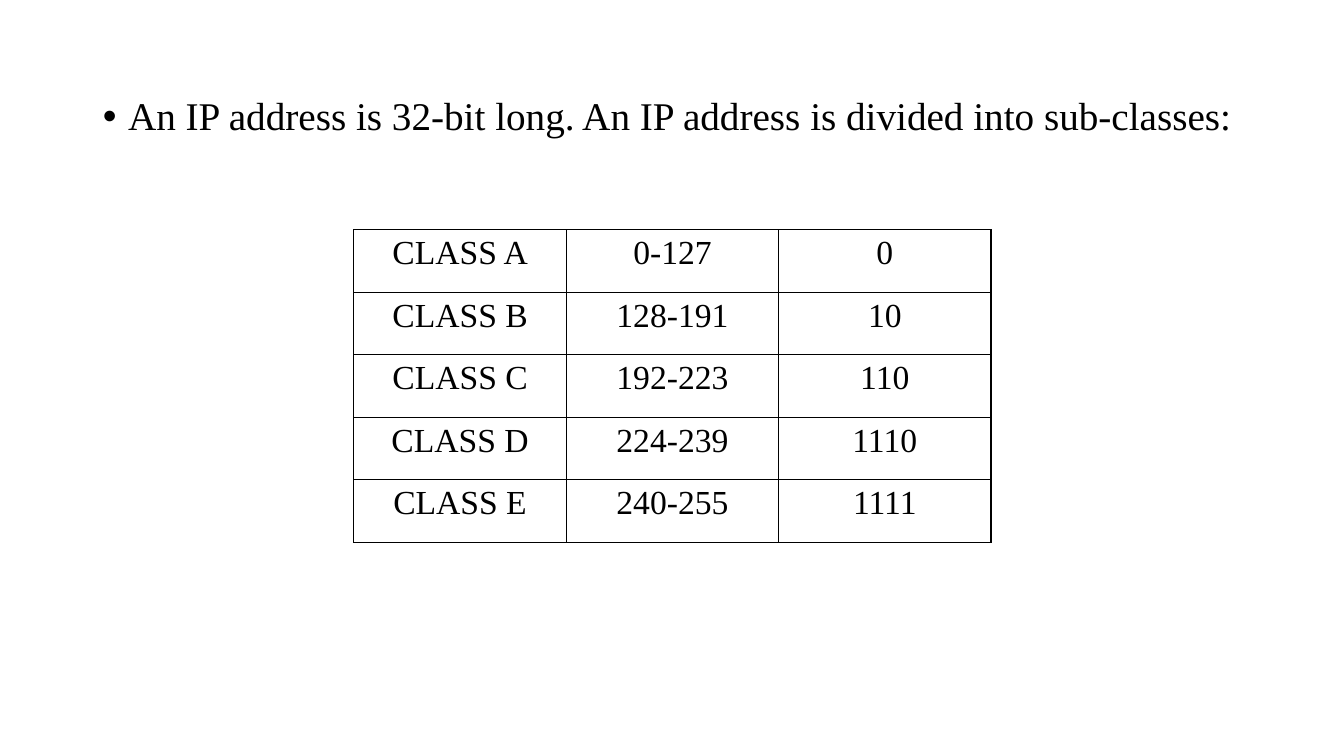
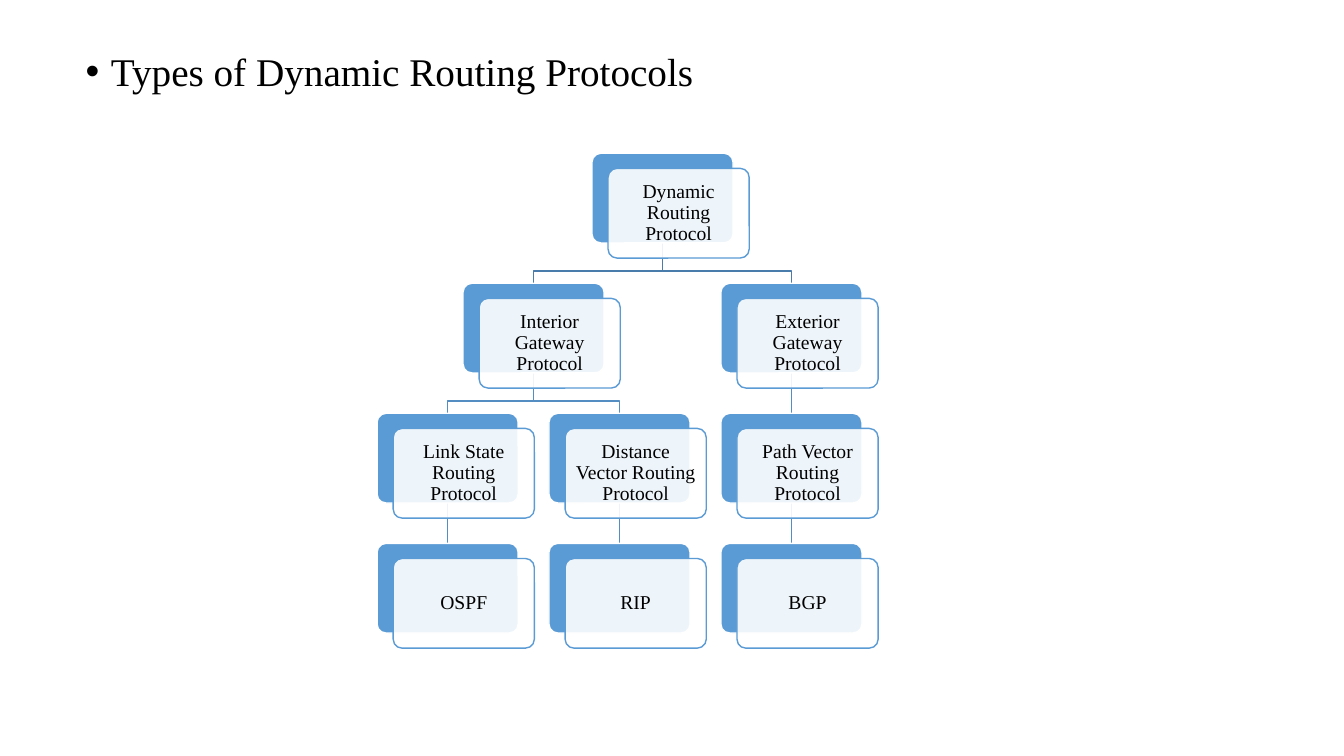
from lxml import etree
from pptx import Presentation
from pptx.dml.color import RGBColor
from pptx.enum.shapes import MSO_CONNECTOR, MSO_SHAPE
from pptx.enum.text import MSO_ANCHOR, MSO_AUTO_SIZE, PP_ALIGN
from pptx.oxml.ns import qn
from pptx.util import Inches, Pt

ROUNDED = MSO_SHAPE.ROUNDED_RECTANGLE
STRAIGHT = MSO_CONNECTOR.STRAIGHT
CENTER = PP_ALIGN.CENTER
MIDDLE = MSO_ANCHOR.MIDDLE
NO_FIT = MSO_AUTO_SIZE.NONE

BLACK = RGBColor(0x00, 0x00, 0x00)
WHITE = RGBColor(0xFF, 0xFF, 0xFF)
BLUE = RGBColor(0x5B, 0x9B, 0xD5)
ROOT_LINE = RGBColor(0x49, 0x7C, 0xAB)
BRANCH_LINE = RGBColor(0x53, 0x8D, 0xC1)

FONT = "Times New Roman"
BODY_TEXT = {"size": Pt(28), "name": FONT}
TABLE_TEXT = {"size": Pt(24), "name": FONT}
NODE_TEXT = {"size": Pt(14), "name": FONT}

NODE_W, NODE_H = 1.4, 0.89
SHIFT_X, SHIFT_Y = 0.16, 0.15
ELBOW = 0.28

CLASSES = [
    ("CLASS A", "0-127", "0"),
    ("CLASS B", "128-191", "10"),
    ("CLASS C", "192-223", "110"),
    ("CLASS D", "224-239", "1110"),
    ("CLASS E", "240-255", "1111"),
]

PROTOCOLS = ("Dynamic Routing Protocol", [
    ("Interior Gateway Protocol", [
        ("Link State Routing Protocol", [("OSPF", [])]),
        ("Distance Vector Routing Protocol", [("RIP", [])]),
    ]),
    ("Exterior Gateway Protocol", [
        ("Path Vector Routing Protocol", [("BGP", [])]),
    ]),
])


def set_text(tf, text, style, **layout):
    p = tf.paragraphs[0]
    for name, value in layout.items():
        setattr(p, name, value)
    r = p.add_run()
    r.text = text
    for name, value in style.items():
        setattr(r.font, name, value)
    r.font.color.rgb = BLACK


def add_bullet_slide(prs, text, box):
    s = prs.slides.add_slide(prs.slide_layouts[1])
    title = s.shapes.title
    title.element.getparent().remove(title.element)
    body = s.placeholders[1]
    body.left, body.top, body.width, body.height = map(Inches, box)
    tf = body.text_frame
    tf.auto_size = NO_FIT
    pPr = tf.paragraphs[0]._p.get_or_add_pPr()
    pPr.set("marL", str(Inches(0.25)))
    pPr.set("indent", str(-Inches(0.25)))
    set_text(tf, text, BODY_TEXT, line_spacing=0.9, space_before=Pt(0))
    return s


def add_borders(cell):
    tcPr = cell._tc.get_or_add_tcPr()
    for side in ("lnL", "lnR", "lnT", "lnB"):
        ln = etree.SubElement(tcPr, qn(f"a:{side}"), w=str(Pt(1)))
        fill = etree.SubElement(ln, qn("a:solidFill"))
        etree.SubElement(fill, qn("a:srgbClr"), val=str(BLACK))


def add_class_table(s, rows, box):
    frame = s.shapes.add_table(len(rows), len(rows[0]), *map(Inches, box))
    table = frame.table
    table.first_row = table.horz_banding = False
    for row, values in zip(table.rows, rows):
        for cell, value in zip(row.cells, values):
            add_borders(cell)
            cell.fill.solid()
            cell.fill.fore_color.rgb = WHITE
            set_text(cell.text_frame, value, TABLE_TEXT, alignment=CENTER)


def place_nodes(node, row=0, first_col=0):
    text, children = node
    placed, links, centers, col = [], [], [], first_col
    for child in children:
        below, lower_links, center, col = place_nodes(child, row + 1, col)
        placed += below
        links += lower_links
        centers.append(center)
    if not children:
        centers, col = [first_col], first_col + 1
    center = sum(centers) / len(centers)
    if children:
        links += [(row, center, c) for c in centers]
    return [(text, row, center)] + placed, links, center, col


def add_link(s, start, end, color):
    (x1, y1), (x2, y2) = start, end
    if x1 == x2:
        link = s.shapes.add_connector(STRAIGHT, *map(Inches, (x1, y1, x2, y2)))
        etree.SubElement(link._element.spPr, qn("a:effectLst"))
    else:
        bend = y1 + ELBOW
        points = [(x1, bend), (x2, bend), (x2, y2)]
        path = s.shapes.build_freeform(Inches(x1), Inches(y1))
        path.add_line_segments([(Inches(x), Inches(y)) for x, y in points], close=False)
        link = path.convert_to_shape()
        link.fill.background()
        link.shadow.inherit = False
    link.line.color.rgb = color
    link.line.width = Pt(1)


def add_card(s, x, y, fill, line):
    sp = s.shapes.add_shape(ROUNDED, *map(Inches, (x, y, NODE_W, NODE_H)))
    sp.adjustments[0] = 0.1
    sp.shadow.inherit = False
    sp.fill.solid()
    sp.fill.fore_color.rgb = fill
    sp.line.color.rgb = line
    sp.line.width = Pt(1)
    return sp


def add_node(s, text, x, y):
    add_card(s, x, y, BLUE, WHITE)
    front = add_card(s, x + SHIFT_X, y + SHIFT_Y, WHITE, BLUE)
    color = front._element.spPr.find(qn("a:solidFill"))[0]
    etree.SubElement(color, qn("a:alpha"), val="90000")
    tf = front.text_frame
    tf.word_wrap = True
    tf.vertical_anchor = MIDDLE
    for side in ("left", "right", "top", "bottom"):
        setattr(tf, f"margin_{side}", Inches(0.06))
    set_text(tf, text, NODE_TEXT, alignment=CENTER, line_spacing=0.9)


def add_tree(s, tree, box):
    left, top, width, height = box
    nodes, links, _, cols = place_nodes(tree)
    last_row = max(row for _, row, _ in nodes)
    step_x = (width - NODE_W - SHIFT_X) / (cols - 1)
    step_y = (height - NODE_H - SHIFT_Y) / last_row

    def corner(row, col):
        return left + col * step_x, top + row * step_y

    for row, parent, child in links:
        x1, y1 = corner(row, parent)
        x2, y2 = corner(row + 1, child)
        color = BRANCH_LINE if row else ROOT_LINE
        add_link(s, (x1 + NODE_W / 2, y1 + NODE_H), (x2 + NODE_W / 2, y2), color)
    for text, row, col in nodes:
        add_node(s, text, *corner(row, col))


def main():
    prs = Presentation()
    prs.slide_width, prs.slide_height = Inches(13.33), Inches(7.5)

    s = add_bullet_slide(
        prs,
        "An IP address is 32-bit long. An IP address is divided into sub-classes:",
        (0.92, 0.91, 11.5, 5.84),
    )
    add_class_table(s, CLASSES, (3.51, 2.28, 6.32, 3.1))

    s = add_bullet_slide(
        prs, "Types of Dynamic Routing Protocols", (0.75, 0.47, 11.5, 6.24)
    )
    add_tree(s, PROTOCOLS, (3.74, 1.52, 4.97, 4.91))

    prs.save("out.pptx")


if __name__ == "__main__":
    main()
